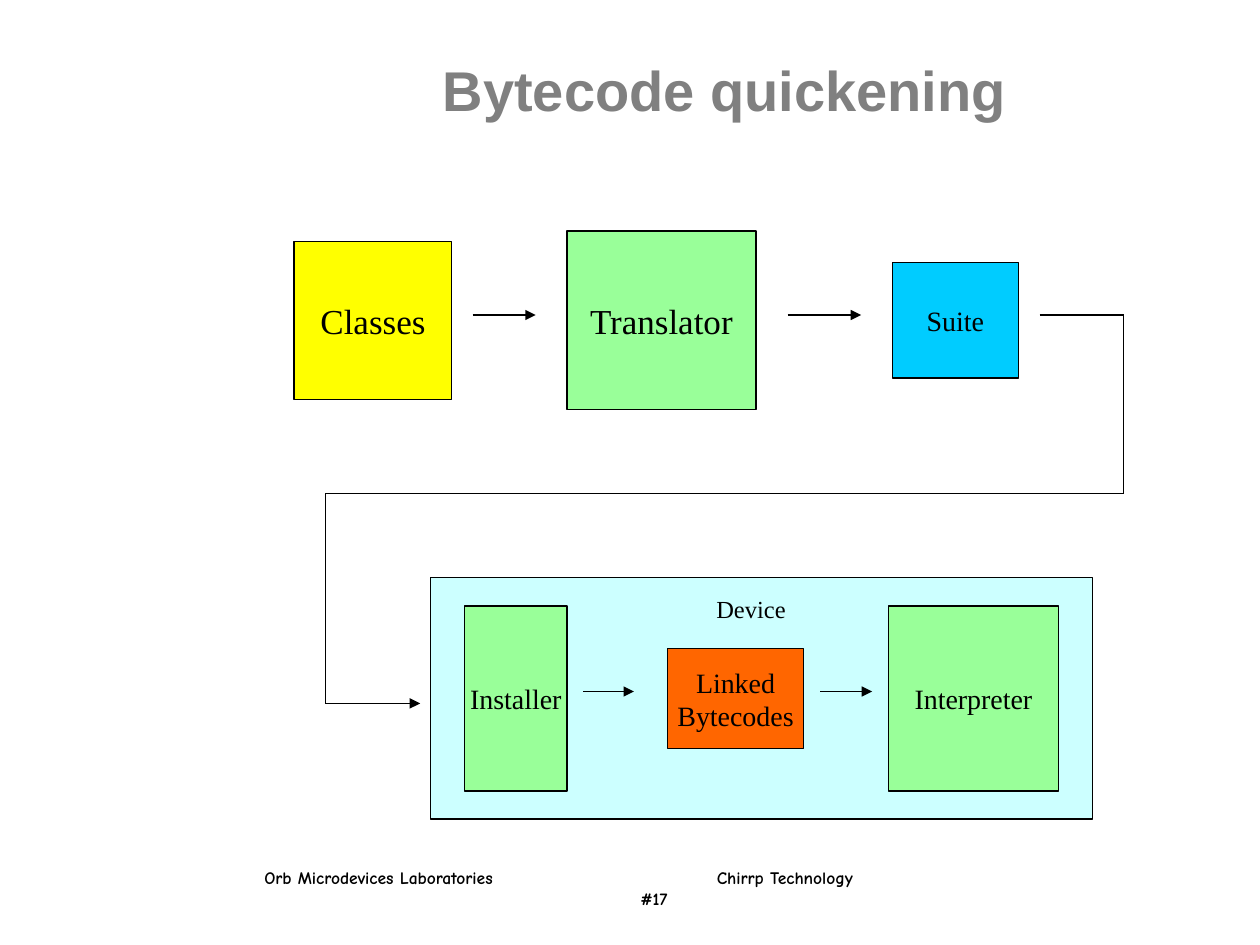
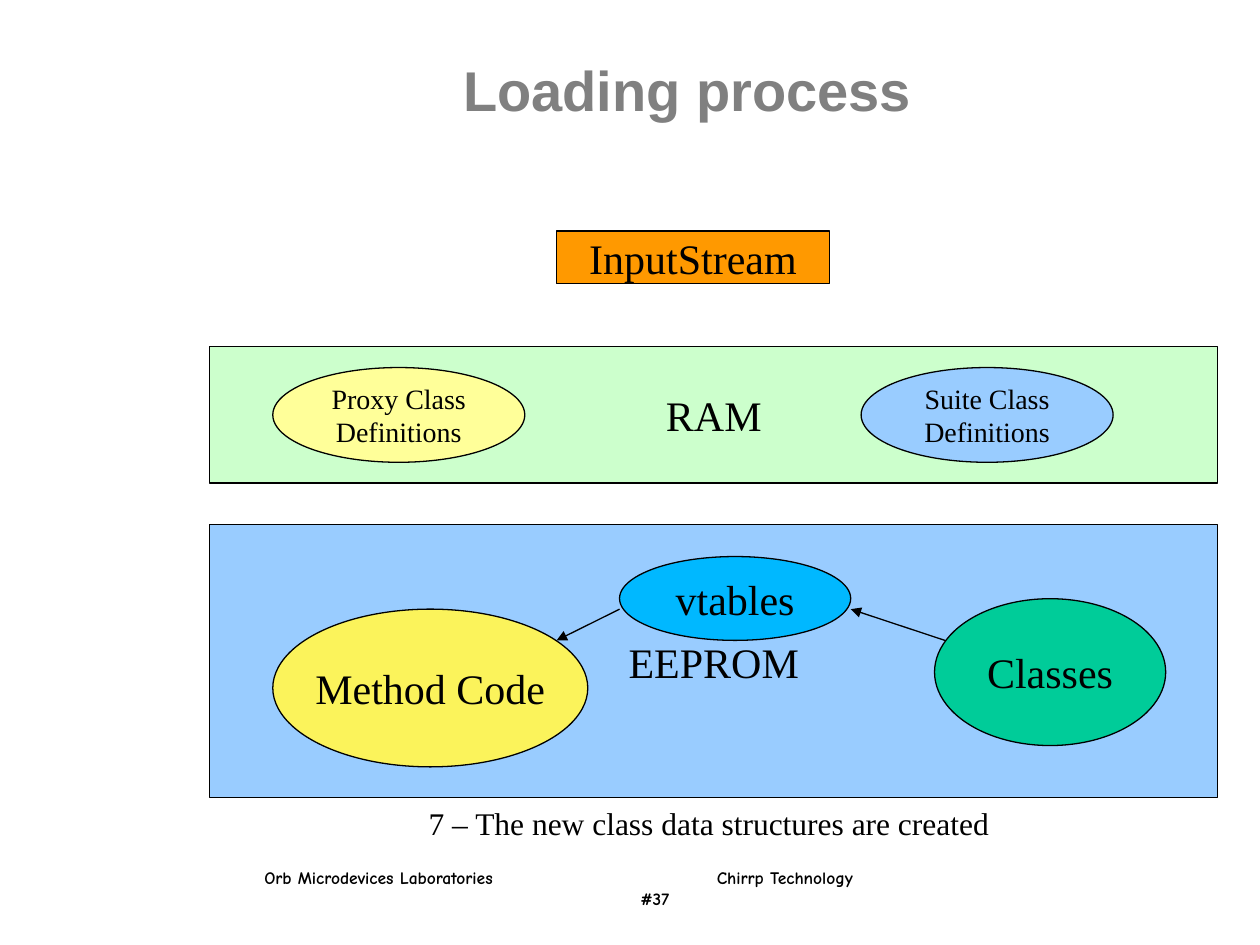
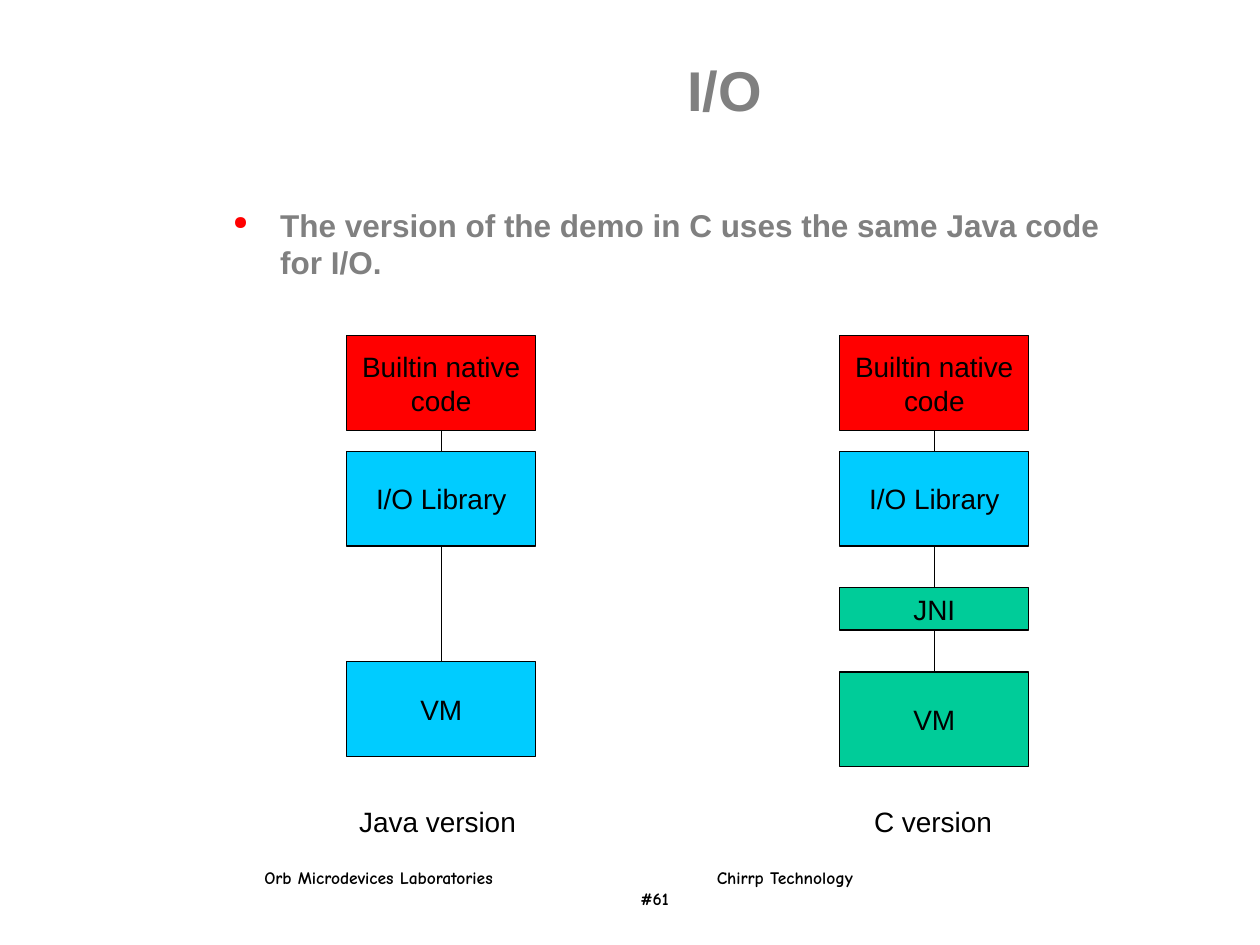
from itertools import pairwise
from lxml import etree
from pptx import Presentation
from pptx import util as u
from pptx.dml.color import RGBColor
from pptx.enum import shapes, text
from pptx.oxml import ns

BLACK = RGBColor(0x00, 0x00, 0x00)
GREY = RGBColor(0x80, 0x80, 0x80)
RED = RGBColor(0xFF, 0x00, 0x00)
YELLOW = RGBColor(0xFF, 0xFF, 0x00)
PALE_YELLOW = RGBColor(0xFF, 0xFF, 0x99)
LEMON = RGBColor(0xFB, 0xF3, 0x5B)
ORANGE = RGBColor(0xFF, 0x99, 0x00)
DARK_ORANGE = RGBColor(0xFF, 0x66, 0x00)
GREEN = RGBColor(0x99, 0xFF, 0x99)
PALE_GREEN = RGBColor(0xCC, 0xFF, 0xCC)
TEAL = RGBColor(0x00, 0xCC, 0x99)
CYAN = RGBColor(0x00, 0xCC, 0xFF)
PALE_CYAN = RGBColor(0xCC, 0xFF, 0xFF)
BLUE = RGBColor(0x99, 0xCC, 0xFF)
SKY = RGBColor(0x00, 0xB8, 0xFF)

SERIF, SANS, COMIC = "Times New Roman", "Arial", "Comic Neue"
RECT, OVAL = shapes.MSO_SHAPE.RECTANGLE, shapes.MSO_SHAPE.OVAL
LEFT, CENTER = text.PP_ALIGN.LEFT, text.PP_ALIGN.CENTER
TOP, MIDDLE = text.MSO_ANCHOR.TOP, text.MSO_ANCHOR.MIDDLE


def add_text(s, words, x, y, w, h, *, kind=None, fill=None, size=16, font=SERIF,
             color=BLACK, bold=False, align=CENTER, anchor=MIDDLE, wrap=False):
    """Add a filled shape, or a text box when no kind is given."""
    box = [u.Cm(v) for v in (x, y, w, h)]
    if kind is None:
        sp = s.shapes.add_textbox(*box)
    else:
        sp = s.shapes.add_shape(kind, *box)
        sp.shadow.inherit = False
        sp.fill.solid()
        sp.fill.fore_color.rgb = fill
        sp.line.color.rgb = BLACK
        sp.line.width = u.Pt(0.75)
    tf = sp.text_frame
    tf.word_wrap = wrap
    tf.vertical_anchor = anchor
    tf.text = words
    for p in tf.paragraphs:
        p.alignment = align
        for r in p.runs:
            r.font.size, r.font.name, r.font.bold = u.Pt(size), font, bold
            r.font.color.rgb = color
    return sp


def add_line(s, start, end, arrow=False):
    c = s.shapes.add_connector(shapes.MSO_CONNECTOR.STRAIGHT,
                               *(u.Cm(v) for v in (*start, *end)))
    c.line.color.rgb = BLACK
    c.line.width = u.Pt(0.75)
    if arrow:
        ln = c._element.spPr.find(ns.qn("a:ln"))
        etree.SubElement(ln, ns.qn("a:tailEnd"), type="triangle")
    etree.SubElement(c._element.spPr, ns.qn("a:effectLst"))


prs = Presentation()
prs.slide_width, prs.slide_height = u.Cm(25.4), u.Cm(19.05)

# Footer and title of every slide
slides = []
for title, number, x, w in [("Bytecode quickening", 17, 5.72, 17.78),
                            ("Loading process", 37, 4.23, 19.26),
                            ("I/O", 61, 5.08, 19.05)]:
    s = prs.slides.add_slide(prs.slide_layouts[6])
    footer = f"Orb Microdevices Laboratories\tChirrp Technology\n\t#{number}"
    sp = add_text(s, footer, 5.08, 17.35, 15.98, 1.12, size=10, font=COMIC,
                  bold=True, align=LEFT, anchor=TOP, wrap=True)
    for p, stop in zip(sp.text_frame.paragraphs, (9.12, 7.58)):
        tabs = etree.SubElement(p._p.get_or_add_pPr(), ns.qn("a:tabLst"))
        etree.SubElement(tabs, ns.qn("a:tab"), pos=str(u.Cm(stop)), algn="l")
    add_text(s, title, x, 1.07, w, 1.47, size=32, font=SANS, color=GREY,
             bold=True, wrap=True)
    slides.append(s)
quickening, loading, io_slide = slides

# Bytecode quickening: stages, with the device behind its parts
s = quickening
for words, x, y, w, h, fill, size in [
        ("Classes", 5.93, 4.87, 3.18, 3.18, YELLOW, 20),
        ("Translator", 11.43, 4.66, 3.81, 3.6, GREEN, 20),
        ("Suite", 17.99, 5.29, 2.54, 2.33, CYAN, 16),
        ("", 8.68, 11.64, 13.34, 4.87, PALE_CYAN, 16),
        ("Installer", 9.37, 12.22, 2.06, 3.73, GREEN, 16),
        ("Linked\nBytecodes", 13.46, 13.08, 2.74, 2.01, DARK_ORANGE, 16),
        ("Interpreter", 17.91, 12.22, 3.43, 3.73, GREEN, 16)]:
    add_text(s, words, x, y, w, h, kind=RECT, fill=fill, size=size)
add_text(s, "Device", 14.19, 11.86, 2, 0.86, size=14, align=LEFT, anchor=TOP)

# Arrows between stages
for x1, x2, y in [(9.53, 10.8, 6.35), (15.88, 17.36, 6.35),
                  (11.76, 12.78, 13.94), (16.54, 17.58, 13.94)]:
    add_line(s, (x1, y), (x2, y), arrow=True)

# Route from the suite to the device
route = [(20.96, 6.35), (22.65, 6.35), (22.65, 9.95),
         (6.56, 9.95), (6.56, 14.18), (8.47, 14.18)]
for start, end in pairwise(route):
    add_line(s, start, end, arrow=end == route[-1])

# Loading process: memories and the structures in them
s = loading
for words, kind, x, y, w, h, fill, size in [
        ("InputStream", RECT, 11.22, 4.66, 5.5, 1.06, ORANGE, 24),
        ("EEPROM", RECT, 4.23, 10.58, 20.32, 5.5, BLUE, 24),
        ("RAM", RECT, 4.23, 6.99, 20.32, 2.75, PALE_GREEN, 24),
        ("Proxy Class\nDefinitions", OVAL, 5.5, 7.41, 5.08, 1.91, PALE_YELLOW, 16),
        ("Suite Class\nDefinitions", OVAL, 17.36, 7.41, 5.08, 1.91, BLUE, 16),
        ("Method Code", OVAL, 5.5, 12.28, 6.35, 3.18, LEMON, 24),
        ("vtables", OVAL, 12.49, 11.22, 4.66, 1.69, SKY, 24),
        ("Classes", OVAL, 18.84, 12.07, 4.66, 2.96, TEAL, 24)]:
    add_text(s, words, x, y, w, h, kind=kind, fill=fill, size=size)
add_line(s, (12.49, 12.28), (11.22, 12.91), arrow=True)
add_line(s, (19.05, 12.91), (17.15, 12.28), arrow=True)
add_text(s, "7 – The new class data structures are created",
         4.45, 16.09, 19.69, 1.02, size=18, anchor=TOP, wrap=True)

# I/O: bullet
s = io_slide
sp = add_text(s, "The version of the demo in C uses the same Java code for I/O.",
              4.45, 4.02, 18.63, 2.12, size=18, font=SANS, color=GREY,
              bold=True, align=LEFT, anchor=TOP, wrap=True)
p = sp.text_frame.paragraphs[0]
p.space_before = u.Pt(4.5)
pPr = p._p.get_or_add_pPr()
pPr.set("marL", str(u.Cm(0.95)))
pPr.set("indent", str(u.Cm(-0.95)))
bullet_color = etree.SubElement(pPr, ns.qn("a:buClr"))
etree.SubElement(bullet_color, ns.qn("a:srgbClr"), val=str(RED))
etree.SubElement(pPr, ns.qn("a:buSzPct"), val="60000")
etree.SubElement(pPr, ns.qn("a:buChar"), char="●")

# I/O: two stacks, each joined from box to box
stack_w = 3.81
shared = [("Builtin native\ncode", 6.77, 1.91, RED), ("I/O Library", 9.1, 1.91, CYAN)]
for label, label_x, x, own in [
        ("Java version", 6.99, 6.99, [("VM", 13.34, 1.91, CYAN)]),
        ("C version", 17.37, 16.93,
         [("JNI", 11.85, 0.85, TEAL), ("VM", 13.55, 1.91, TEAL)])]:
    stack = shared + own
    for words, y, h, fill in stack:
        add_text(s, words, x, y, stack_w, h, kind=RECT, fill=fill, font=SANS)
    mid = x + stack_w / 2
    for (_, y, h, _), (_, next_y, _, _) in pairwise(stack):
        add_line(s, (mid, y + h), (mid, next_y))
    add_text(s, label, label_x, 16.09, stack_w, 0.94, font=SANS, align=LEFT, anchor=TOP,
             wrap=True)

prs.save("out.pptx")
